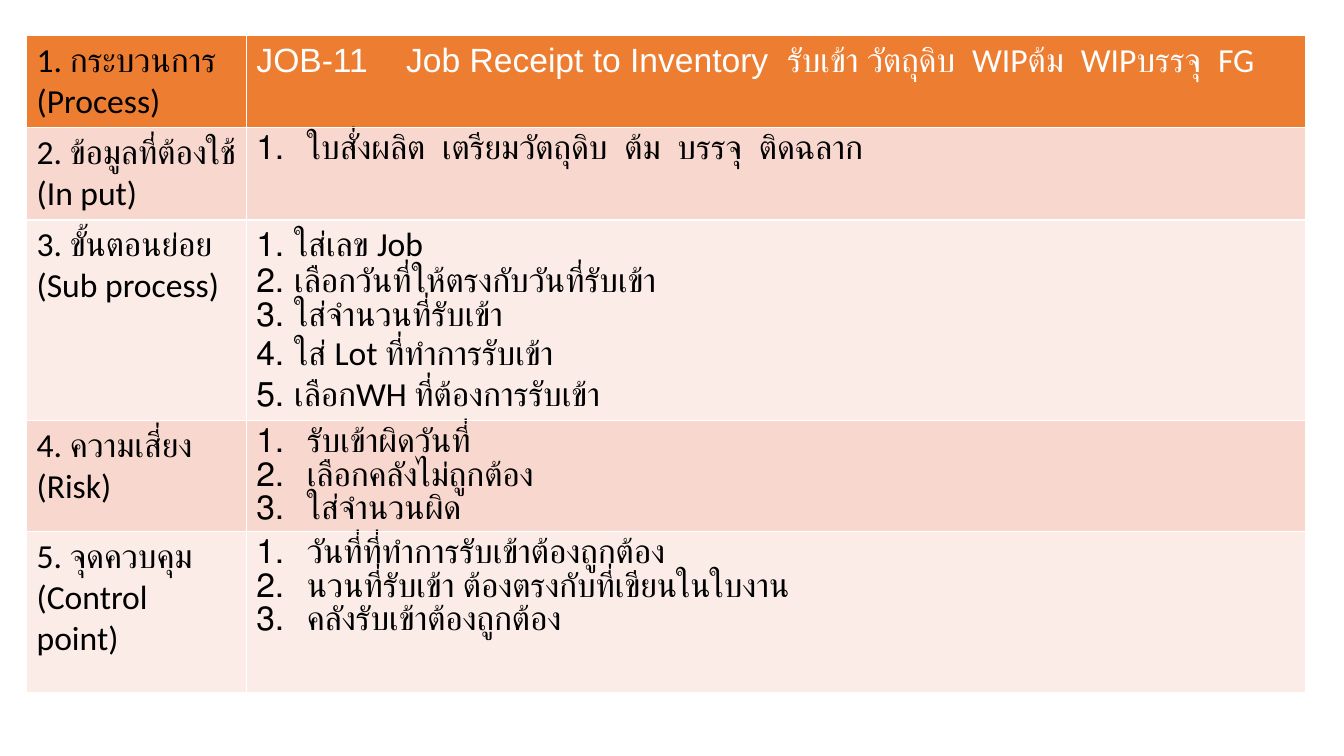
import pptx
import pptx.dml.color
import pptx.oxml
import pptx.oxml.ns
import pptx.util
from pptx.util import Cm

BLACK, WHITE = "000000", "FFFFFF"
ORANGE, PEACH, PALE = "ED7D31", "F8D7CE", "FCECE8"
NAMESPACE = pptx.oxml.ns.nsdecls("a")


def color(hex_string):
    return pptx.dml.color.RGBColor.from_string(hex_string)


def write(paragraph, text, font="Calibri", ink=BLACK, indent=None, tab=None):
    properties = paragraph._p.get_or_add_pPr()
    elements = []
    if indent:
        properties.set("marL", str(Cm(indent)))
        properties.set("indent", str(-Cm(indent)))
        elements = [f'<a:buFont {NAMESPACE} typeface="Arial"/>',
                    f'<a:buAutoNum {NAMESPACE} type="arabicPeriod"/>']
    if tab:
        elements.append(f'<a:tabLst {NAMESPACE}><a:tab pos="{Cm(tab)}" algn="l"/></a:tabLst>')
    for element in elements:
        properties.append(pptx.oxml.parse_xml(element))
    run = paragraph.add_run()
    run.text = text
    run.font.name = font
    run.font.size = pptx.util.Pt(24)
    run.font.bold = False
    run.font.color.rgb = color(ink)


presentation = pptx.Presentation()
presentation.slide_width, presentation.slide_height = Cm(33.87), Cm(19.05)
slide = presentation.slides.add_slide(presentation.slide_layouts[6])

# Row height, fill, label lines, list indent, list items
rows = [
    (2.31, ORANGE, ["1. กระบวนการ (Process)"], None, []),
    (2.32, PEACH, ["2. ข้อมูลที่ต้องใช้", "(In put)"], 1.27,
     ["ใบสั่งผลิต  เตรียมวัตถุดิบ  ต้ม  บรรจุ  ติดฉลาก"]),
    (5.06, PALE, ["3. ขั้นตอนย่อย", "(Sub process)"], 0.95,
     ["ใส่เลข Job", "เลือกวันที่ให้ตรงกับวันที่รับเข้า", "ใส่จำนวนที่รับเข้า",
      "ใส่ Lot ที่ทำการรับเข้า", "เลือกWH ที่ต้องการรับเข้า"]),
    (2.77, PEACH, ["4. ความเสี่ยง", "(Risk)"], 1.27,
     ["รับเข้าผิดวันที่", "เลือกคลังไม่ถูกต้อง", "ใส่จำนวนผิด"]),
    (4.06, PALE, ["5. จุดควบคุม", "(Control point)"], 1.27,
     ["วันที่ที่ทำการรับเข้าต้องถูกต้อง", "นวนที่รับเข้า ต้องตรงกับที่เขียนในใบงาน",
      "คลังรับเข้าต้องถูกต้อง"]),
]

# Table frame
column_widths = [5.54, 26.7]
table = slide.shapes.add_table(
    len(rows), 2, Cm(0.67), Cm(0.9), Cm(sum(column_widths)),
    Cm(sum(row[0] for row in rows))).table
for column, width in zip(table.columns, column_widths):
    column.width = Cm(width)

# Labels and numbered lists
for table_row, (height, fill, label, indent, items) in zip(table.rows, rows):
    table_row.height = Cm(height)
    for cell, lines, cell_indent in zip(table_row.cells, (label, items), (None, indent)):
        for side in "LRTB":
            cell._tc.get_or_add_tcPr().append(pptx.oxml.parse_xml(
                f'<a:ln{side} {NAMESPACE} w="12700"><a:solidFill>'
                f'<a:srgbClr val="{WHITE}"/></a:solidFill></a:ln{side}>'))
        cell.fill.solid()
        cell.fill.fore_color.rgb = color(fill)
        for number, line in enumerate(lines):
            frame = cell.text_frame
            paragraph = frame.add_paragraph() if number else frame.paragraphs[0]
            write(paragraph, line, indent=cell_indent)

# Process heading
heading = table.cell(0, 1).text_frame.paragraphs[0]
write(heading, "JOB-11\tJob Receipt to Inventory  รับเข้า ", font="Arial", ink=WHITE, tab=3.77)
write(heading, "วัตถุดิบ  WIPต้ม  WIPบรรจุ  FG", ink=WHITE)

presentation.save("out.pptx")
